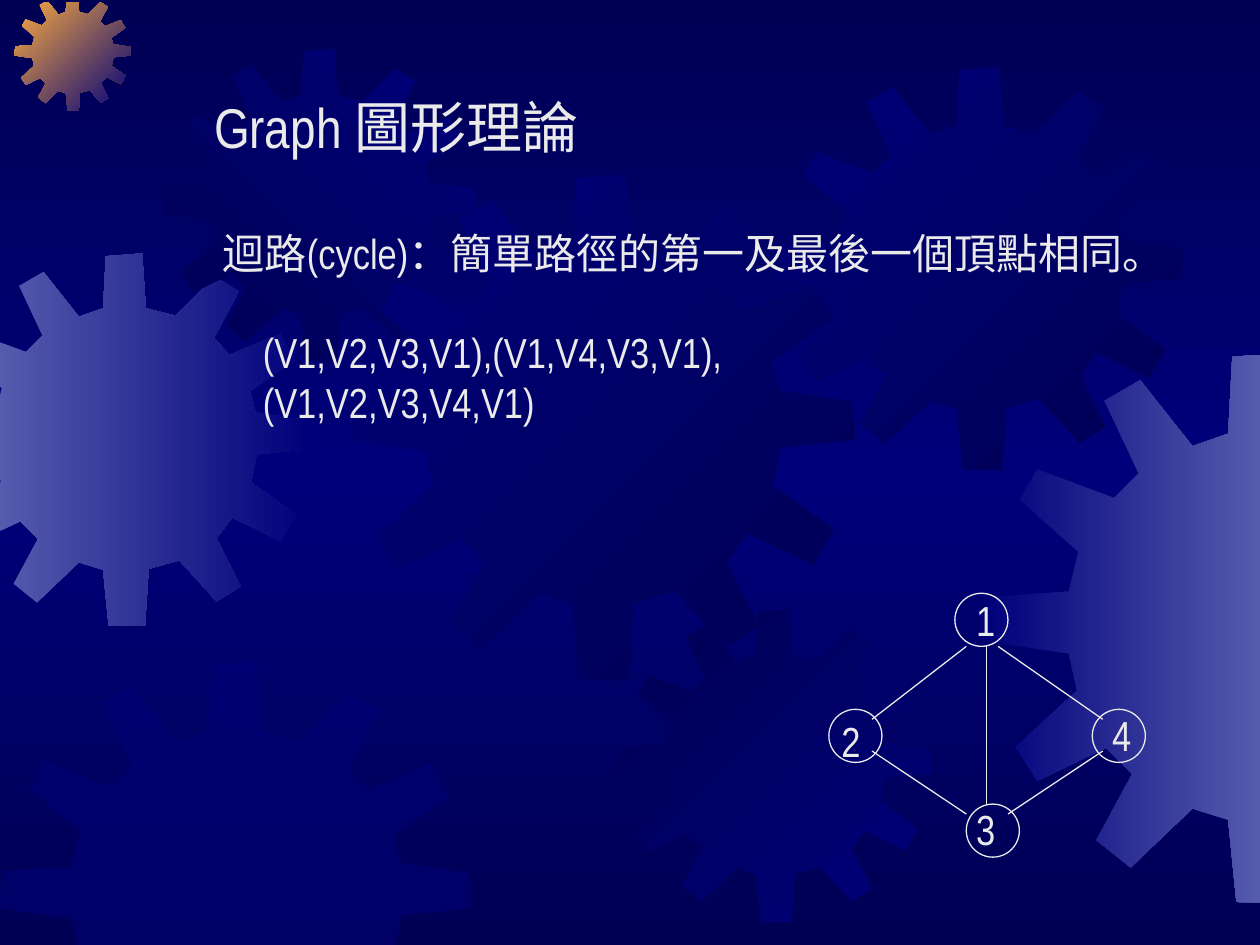
import copy

import pptx
import pptx.dml.color
import pptx.enum.shapes
import pptx.enum.text
import pptx.oxml
import pptx.oxml.ns
import pptx.util
from pptx.util import Cm

# Content: all lengths in cm
FONT = "Arial Narrow"
NAVY, BLUE, LILAC, ORANGE, PALE = "000054", "00007A", "555BAD", "FCAB40", "EAEAEA"

TITLE = ("Graph 圖形理論", (4.06, 1.73, 8.13, 1.63), 32)
DEFINITION = ("迴路(cycle)：簡單路徑的第一及最後一個頂點相同。", (4.24, 4.45, 19.89, 1.27), 24)
CYCLES = ("(V1,V2,V3,V1),(V1,V4,V3,V1),(V1,V2,V3,V4,V1)", (5.05, 6.45, 15.24, 1.27), 24)

# One gear outline, drawn on a square of GEAR_UNITS
GEAR_UNITS = 401
GEAR = [
    (255, 67), (223, 59), (219, 0), (180, 3), (177, 59), (151, 68), (113, 20), (87, 35),
    (112, 88), (94, 106), (38, 85), (25, 107), (68, 145), (61, 174), (1, 178), (0, 210),
    (61, 219), (67, 246), (22, 287), (38, 312), (88, 288), (107, 307), (81, 355), (106, 375),
    (151, 332), (177, 340), (183, 400), (222, 401), (226, 339), (259, 330), (299, 374), (325, 358),
    (299, 306), (316, 284), (368, 309), (384, 281), (336, 246), (342, 216), (401, 210), (400, 180),
    (341, 171), (335, 148), (383, 114), (367, 87), (313, 109), (296, 91), (323, 41), (297, 25),
]
# left, top, size, gradient colours, clockwise angle (None: half-transparent fill)
GEARS = [
    (-1.24, 5.11, 7.52, (LILAC, BLUE), 0),
    (0.3, -0.1, 2.33, (ORANGE, BLUE), 45),
    (3.3, 0.99, 6.3, (NAVY, BLUE), 315),
    (7.04, 3.53, 10.19, (BLUE, NAVY), 45),
    (0, 13.34, 9.5, (BLUE,), None),
    (12.47, 12.29, 6.3, (NAVY, BLUE), 45),
    (15.7, 1.35, 8.13, (BLUE, NAVY), 45),
    (19.86, 7.11, 11.1, (BLUE, LILAC), 0),
]
# axis, limit, side that stays
CLIP_EDGES = [(0, -0.03, 1), (0, 25.43, -1), (1, 0.05, 1), (1, 19.15, -1)]

# Graph: label, circle corner, label corner, label width
CIRCLE = 1.07
NODES = [
    ("1", (19.25, 11.96), (19.43, 11.86), 0.89),
    ("2", (16.71, 14.3), (16.71, 14.3), 1.07),
    ("3", (19.48, 16.21), (19.43, 16.08), 0.89),
    ("4", (22.02, 14.3), (22.17, 14.17), 0.89),
]
EDGES = [
    (19.48, 13.03, 17.58, 14.5),
    (19.48, 16.41, 17.58, 15.14),
    (19.89, 16.21, 19.89, 13.03),
    (20.12, 13.03, 22.23, 14.5),
    (22.23, 15.14, 20.32, 16.41),
]


def rgb(value):
    return pptx.dml.color.RGBColor.from_string(value)


def lengths(values):
    return [Cm(value) for value in values]


def set_gradient(fill, colours, angle):
    """Spread the colours evenly; the angle turns clockwise."""
    fill.gradient()
    fill.gradient_angle = -angle % 360
    first = next(iter(fill.gradient_stops))._gs
    for _ in colours[2:]:
        first.addnext(copy.deepcopy(first))
    for index, (stop, colour) in enumerate(zip(fill.gradient_stops, colours)):
        stop.position = index / (len(colours) - 1)
        stop.color.rgb = rgb(colour)


def clip(points):
    """Cut a closed outline along each clip edge."""
    for axis, limit, side in CLIP_EDGES:
        kept = []
        for start, end in zip(points[-1:] + points[:-1], points):
            before, after = ((point[axis] - limit) * side for point in (start, end))
            if (before >= 0) != (after >= 0):
                share = before / (before - after)
                kept.append(tuple(a + (b - a) * share for a, b in zip(start, end)))
            if after >= 0:
                kept.append(end)
        points = kept
    return points


def add_gear(slide, left, top, size, colours, angle):
    scale = size / GEAR_UNITS
    outline = clip([(left + x * scale, top + y * scale) for x, y in GEAR])
    points = [lengths(point) for point in outline]
    builder = slide.shapes.build_freeform(*points[0])
    builder.add_line_segments(points[1:], close=True)
    gear = builder.convert_to_shape()
    gear.shadow.inherit = False
    gear.line.fill.background()
    if angle is None:
        gear.fill.solid()
        gear.fill.fore_color.rgb = rgb(colours[0])
        colour = gear.element.spPr.find(".//" + pptx.oxml.ns.qn("a:srgbClr"))
        pptx.oxml.ns.qn("a:alpha")
        colour.append(pptx.oxml.parse_xml(
            f'<a:alpha {pptx.oxml.ns.nsdecls("a")} val="50000"/>'))
    else:
        set_gradient(gear.fill, colours, angle)


def set_text(shape, text, box, size, wrap=False):
    shape.left, shape.top, shape.width, shape.height = lengths(box)
    frame = shape.text_frame
    frame.text = text
    frame.word_wrap = wrap
    frame.auto_size = pptx.enum.text.MSO_AUTO_SIZE.SHAPE_TO_FIT_TEXT
    frame.vertical_anchor = pptx.enum.text.MSO_ANCHOR.TOP
    paragraph = frame.paragraphs[0]
    paragraph.alignment = pptx.enum.text.PP_ALIGN.LEFT
    paragraph.space_before = pptx.util.Pt(0)
    font = paragraph.runs[0].font
    font.name = FONT
    font.size = pptx.util.Pt(size)
    font.color.rgb = rgb(PALE)


def set_line(shape):
    shape.line.color.rgb = rgb(PALE)
    shape.line.width = pptx.util.Pt(0.75)


def add_graph(slide):
    shapes = slide.shapes.add_group_shape().shapes
    for _, corner, _, _ in NODES:
        circle = shapes.add_shape(pptx.enum.shapes.MSO_SHAPE.OVAL,
                                  *lengths((*corner, CIRCLE, CIRCLE)))
        circle.shadow.inherit = False
        circle.fill.background()
        set_line(circle)
    for edge in EDGES:
        line = shapes.add_connector(pptx.enum.shapes.MSO_CONNECTOR.STRAIGHT, *lengths(edge))
        set_line(line)
        line.element.spPr.append(pptx.oxml.parse_xml(
            f'<a:effectLst {pptx.oxml.ns.nsdecls("a")}/>'))
    for label, _, corner, width in NODES:
        box = (*corner, width, 1.27)
        set_text(shapes.add_textbox(*lengths(box)), label, box, 24, wrap=label == "2")


def main():
    presentation = pptx.Presentation()
    presentation.slide_width, presentation.slide_height = Cm(25.4), Cm(19.05)
    slide = presentation.slides.add_slide(presentation.slide_layouts[1])

    # Background with gears
    set_gradient(slide.background.fill, (NAVY, BLUE, NAVY), 90)
    for gear in GEARS:
        add_gear(slide, *gear)

    # Title and definition, in front of the gears
    title, body = slide.placeholders
    for placeholder, content in ((title, TITLE), (body, DEFINITION)):
        placeholder.element.getparent().append(placeholder.element)
        set_text(placeholder, *content)
    properties = body.text_frame.paragraphs[0]._p.get_or_add_pPr()
    properties.set("marL", "0")
    properties.set("indent", "0")
    properties.append(pptx.oxml.parse_xml(f'<a:buNone {pptx.oxml.ns.nsdecls("a")}/>'))

    # Graph and its cycles
    add_graph(slide)
    set_text(slide.shapes.add_textbox(*lengths(CYCLES[1])), *CYCLES)
    presentation.save("out.pptx")


if __name__ == "__main__":
    main()
